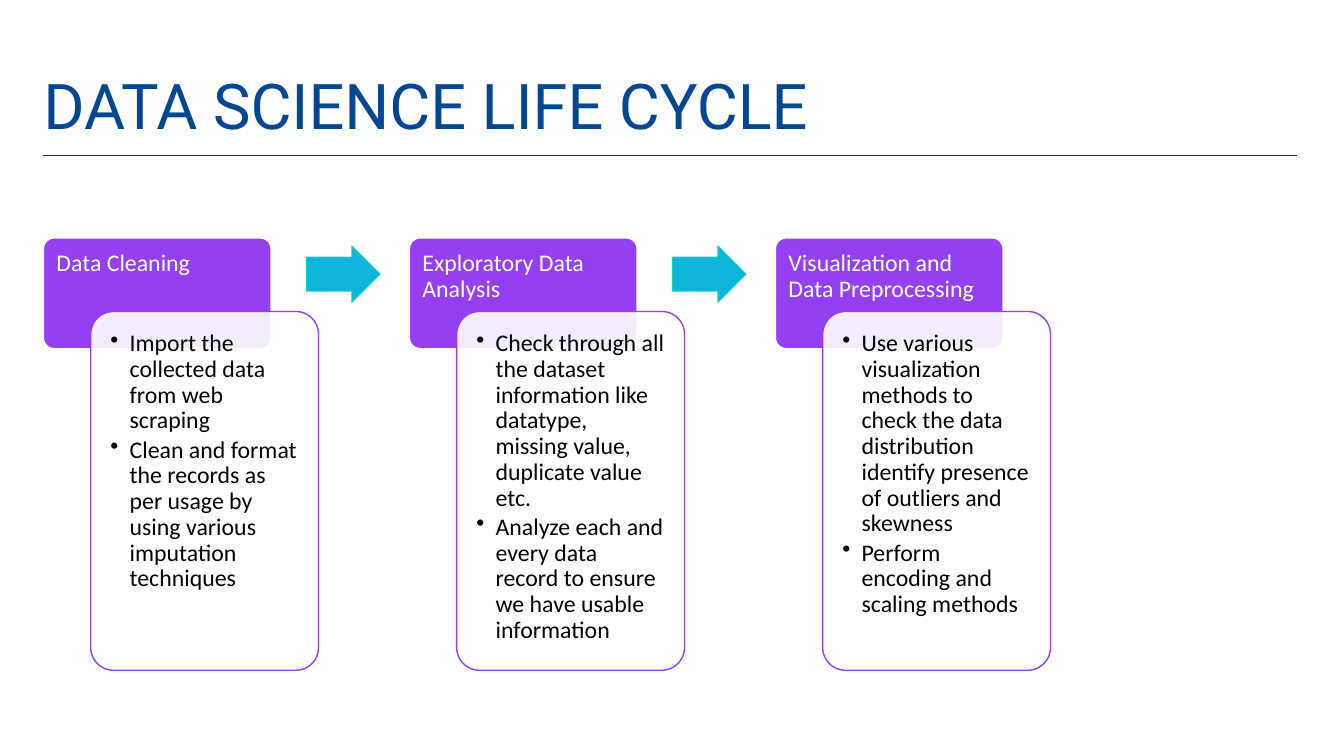
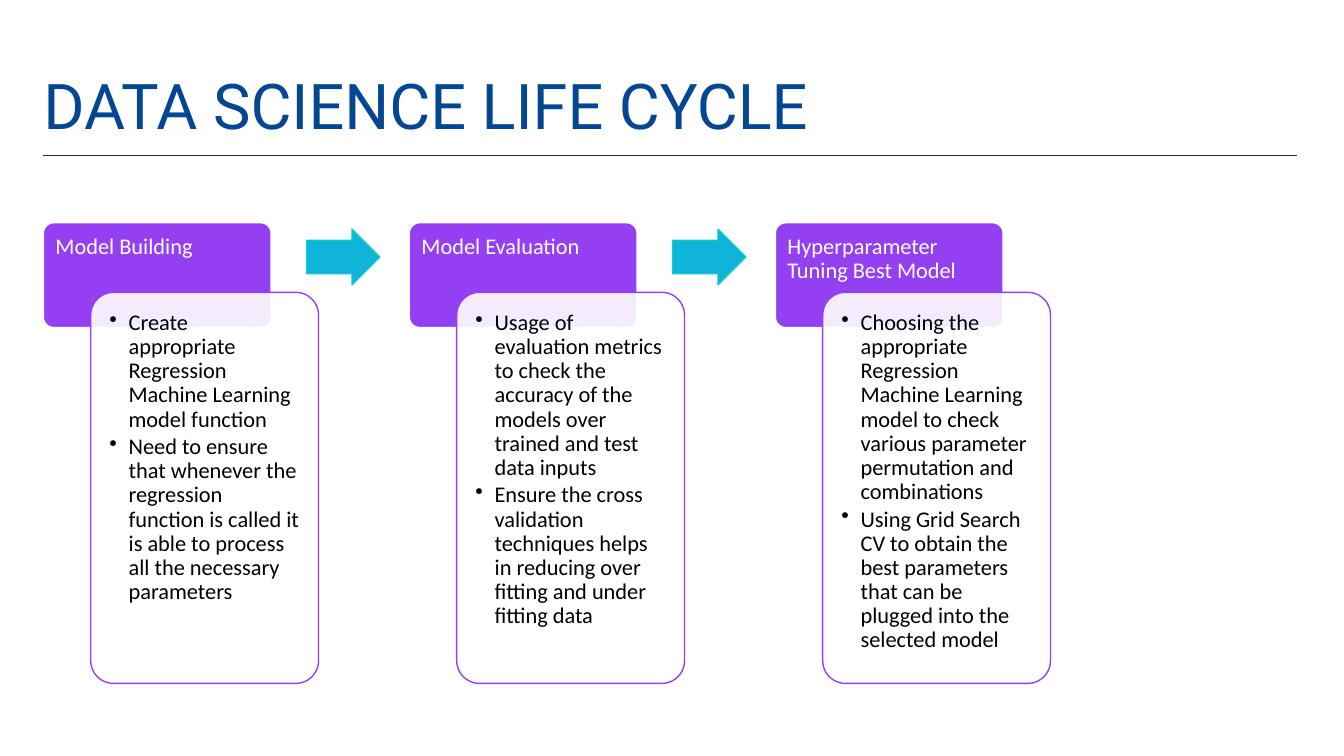
from lxml.etree import SubElement
from pptx import Presentation
from pptx.dml.color import RGBColor
from pptx.enum.shapes import MSO_CONNECTOR, MSO_SHAPE
from pptx.enum.text import MSO_ANCHOR, PP_ALIGN
from pptx.oxml.ns import qn
from pptx.util import Pt

ROUND = MSO_SHAPE.ROUNDED_RECTANGLE
ARROW = MSO_SHAPE.RIGHT_ARROW
LINE = MSO_CONNECTOR.STRAIGHT
TOP, BASE = MSO_ANCHOR.TOP, MSO_ANCHOR.BOTTOM
LEFT = PP_ALIGN.LEFT

SCALE = 9144
WIDE, HIGH = 1333, 750
EDGE, SPAN = 43, 1243
STEP, CARD, SHIFT = 363, 226, 47
NAVY, INK, BLACK, WHITE = "034793", "262626", "000000", "FFFFFF"
GRAPE, SKY, TEAL = "953FF3", "0FB4DB", "15D1BB"

TITLE = "DATA SCIENCE LIFE CYCLE"
PAGES = [
    dict(top=236, head=110, deep=356, size=17, pad=13, steps=[
        ("Data Cleaning", [
            "Import the collected data from web scraping",
            "Clean and format the records as per usage by using various "
            "imputation techniques"]),
        ("Exploratory Data Analysis", [
            "Check through all the dataset information like datatype, "
            "missing value, duplicate value etc.",
            "Analyze each and every data record to ensure we have usable "
            "information"]),
        ("Visualization and Data Preprocessing", [
            "Use various visualization methods to check the data "
            "distribution identify presence of outliers and skewness",
            "Perform encoding and scaling methods"])]),
    dict(top=221, head=104, deep=388, size=16, pad=12, steps=[
        ("Model Building", [
            "Create appropriate Regression Machine Learning model function",
            "Need to ensure that whenever the regression function is called "
            "it is able to process all the necessary parameters"]),
        ("Model Evaluation", [
            "Usage of evaluation metrics to check the accuracy of the models "
            "over trained and test data inputs",
            "Ensure the cross validation techniques helps in reducing over "
            "fitting and under fitting data"]),
        ("Hyperparameter Tuning Best Model", [
            "Choosing the appropriate Regression Machine Learning model to "
            "check various parameter permutation and combinations",
            "Using Grid Search CV to obtain the best parameters that can be "
            "plugged into the selected model"])]),
]


def px(*sizes):
    """Turn px lengths into EMU."""
    return [round(size * SCALE) for size in sizes]


def tint(code):
    """Turn a hex string into a colour."""
    return RGBColor.from_string(code)


def write(shape, lines, size, color, font="Calibri", pads=(0, 5, 0, 5),
          anchor=TOP, after=0, dots=False):
    """Fill a shape with formatted paragraphs."""
    frame = shape.text_frame
    frame.word_wrap = True
    frame.vertical_anchor = anchor
    (frame.margin_left, frame.margin_top,
     frame.margin_right, frame.margin_bottom) = px(*pads)
    for index, line in enumerate(lines):
        para = frame.add_paragraph() if index else frame.paragraphs[0]
        para.alignment = LEFT
        para.line_spacing = 0.9
        para.space_after = Pt(after)
        run = para.add_run()
        run.text = line
        run.font.name = font
        run.font.size = Pt(size)
        run.font.color.rgb = tint(color)
        if dots:
            props = para._p.get_or_add_pPr()
            indent, = px(19)
            props.set("marL", str(indent))
            props.set("indent", str(-indent))
            SubElement(props, qn("a:buChar"), char="•")


class Deck:
    """Hold the shared style and the current slide."""

    def __init__(self):
        """Start an empty wide deck."""
        self.show = Presentation()
        self.show.slide_width, self.show.slide_height = px(WIDE, HIGH)

    def page(self, title):
        """Open a slide with its title and rule."""
        self.slide = self.show.slides.add_slide(self.show.slide_layouts[6])
        self.rule(EDGE, 154, SPAN)
        box = self.slide.shapes.add_textbox(*px(EDGE, 37, SPAN, 110))
        write(box, [title], 45, NAVY, font="Roboto", anchor=BASE)

    def rule(self, x, y, w):
        """Draw a level line."""
        line = self.slide.shapes.add_connector(LINE, *px(x, y, x + w, y))
        line.line.color.rgb = tint(INK)
        line.line.width = Pt(1)
        SubElement(line.element.spPr, qn("a:effectLst"))

    def form(self, kind, place, fill, edge, adjust, width=1, alpha=100):
        """Draw a preset shape."""
        shape = self.slide.shapes.add_shape(kind, *px(*place))
        shape.shadow.inherit = False
        for index, value in enumerate(adjust):
            shape.adjustments[index] = value
        shape.fill.solid()
        shape.fill.fore_color.rgb = tint(fill)
        if alpha < 100:
            paint = shape.element.spPr.find(qn("a:solidFill"))
            SubElement(paint[0], qn("a:alpha"), val=str(alpha * 1000))
        shape.line.color.rgb = tint(edge)
        shape.line.width = Pt(width)
        return shape

    def card(self, x, name, notes, top, head, deep, size, pad):
        """Draw a step header with its overlapping list."""
        tab = self.form(ROUND, (x, top, CARD, head), GRAPE, WHITE, [0.1])
        side = pad - 3
        write(tab, [name], size, WHITE, pads=(side, side, side, 7))
        body = self.form(ROUND, (x + SHIFT, top + head * 2 // 3, CARD, deep),
                         WHITE, GRAPE, [0.1], alpha=90)
        write(body, notes, size, BLACK, pads=[pad] * 4,
              after=size * 0.15, dots=True)

    def arrow(self, x, y):
        """Draw an arrow to the next step."""
        self.form(ARROW, (x, y, 73, 56), SKY, TEAL, [0.6, 0.5], width=0.75)

    def flow(self, steps, top, head, **style):
        """Lay out the steps in a row."""
        for index, (name, notes) in enumerate(steps):
            x = EDGE + index * STEP
            if index:
                self.arrow(x - 102, top + (head * 2 // 3 - 56) // 2)
            self.card(x, name, notes, top, head, **style)


def main():
    """Build and save the deck."""
    deck = Deck()
    for page in PAGES:
        deck.page(TITLE)
        deck.flow(**page)
    deck.show.save("out.pptx")


if __name__ == "__main__":
    main()
